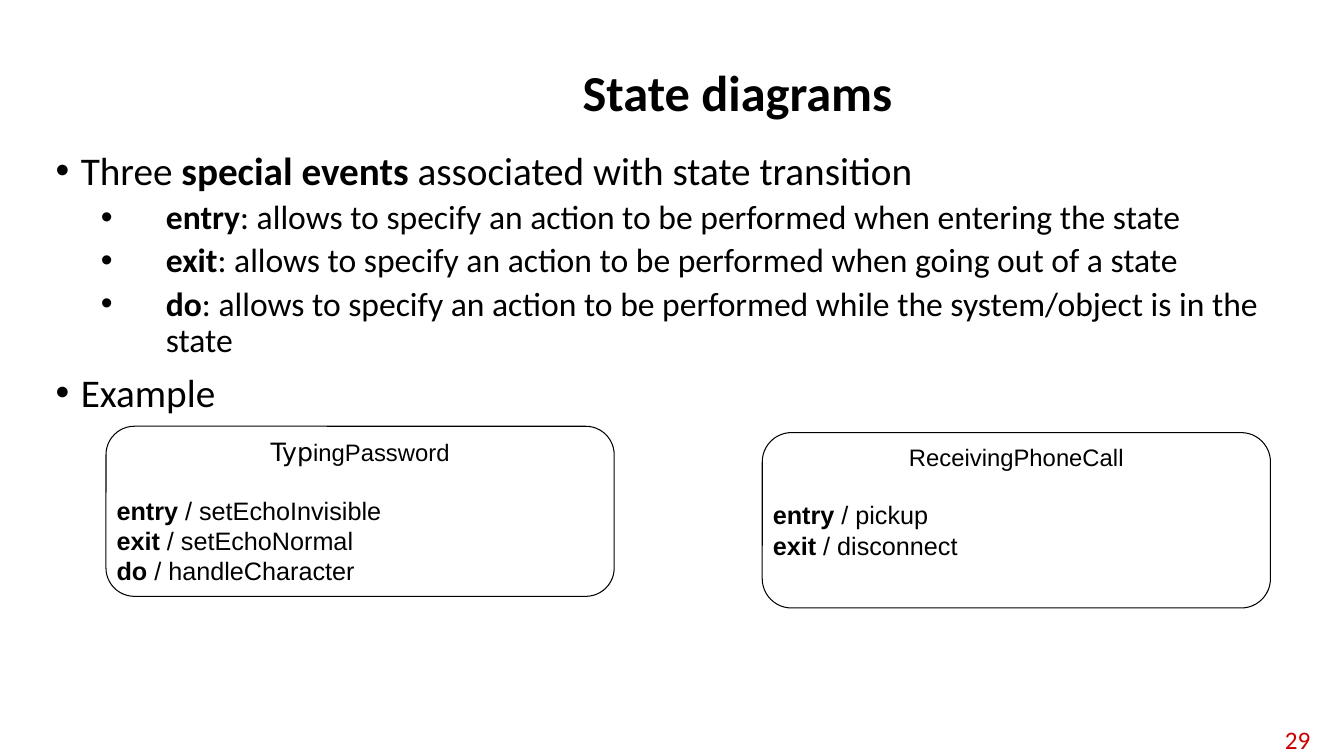
from lxml import etree
from pptx import Presentation
from pptx.dml.color import RGBColor
from pptx.enum.shapes import MSO_SHAPE
from pptx.enum.text import MSO_ANCHOR, PP_ALIGN
from pptx.oxml.ns import qn
from pptx.util import Pt

PX = 9525
TOP, MIDDLE = MSO_ANCHOR.TOP, MSO_ANCHOR.MIDDLE
LEFT, CENTER, RIGHT = PP_ALIGN.LEFT, PP_ALIGN.CENTER, PP_ALIGN.RIGHT
ROUNDED = MSO_SHAPE.ROUNDED_RECTANGLE
COLORS = {"text": "000000", "line": "000000", "number": "CC0000"}

EVENTS = [
    ("entry", ": allows to specify an action to be performed when entering the state"),
    ("exit", ": allows to specify an action to be performed when going out of a state"),
    ("do", ": allows to specify an action to be performed while the system/object is in the state"),
]


def px(*values):
    """Turn pixel lengths into EMU."""
    return [v * PX for v in values]


def add_run(p, text, size, font="Calibri", bold=False, color="text"):
    """Append a formatted run to a paragraph."""
    r = p.add_run()
    r.text = text
    r.font.size = Pt(size)
    r.font.name = font
    r.font.bold = bold
    r.font.color.rgb = RGBColor.from_string(COLORS[color])


def add_box(s, box, anchor=TOP, margins=(10, 5)):
    """Add a wrapping text box and return its text frame."""
    tf = s.shapes.add_textbox(*px(*box)).text_frame
    tf.word_wrap = True
    tf.vertical_anchor = anchor
    tf.margin_left = tf.margin_right = margins[0] * PX
    tf.margin_top = tf.margin_bottom = margins[1] * PX
    return tf


def next_paragraph(tf, align=LEFT, before=0):
    """Return the unused first paragraph, or a new one with space before."""
    p = tf.paragraphs[0]
    if p.runs:
        p = tf.add_paragraph()
        p.space_before = Pt(before)
    p.alignment = align
    return p


def add_label(s, box, text, size, align, **style):
    """Add a one-line text box centred vertically."""
    p = next_paragraph(add_box(s, box, MIDDLE), align)
    add_run(p, text, size, **style)


def add_bullet(tf, level, spans):
    """Add a bulleted paragraph made of (text, bold) spans."""
    indent, hanging, size, before = [(24, 24, 28, 10), (105, 62, 24, 5)][level]
    p = next_paragraph(tf, before=before)
    p.level = level
    pPr = p._p.get_or_add_pPr()
    pPr.set("marL", str(indent * PX))
    pPr.set("indent", str(-hanging * PX))
    etree.SubElement(pPr, qn("a:buFont")).set("typeface", "Arial")
    etree.SubElement(pPr, qn("a:buChar")).set("char", "•")
    p.line_spacing = 0.9
    for text, bold in spans:
        add_run(p, text, size, bold=bold)


def add_state(s, box, name, actions):
    """Add a rounded state box with its name and its event actions."""
    sp = s.shapes.add_shape(ROUNDED, *px(*box))
    sp.adjustments[0] = 0.167
    sp.shadow.inherit = False
    sp.fill.background()
    sp.line.color.rgb = RGBColor.from_string(COLORS["line"])
    sp.line.width = Pt(0.75)
    x, y, w, h = box
    tf = add_box(s, (x + 5, y + 5, w - 10, h - 10), margins=(5, 5))
    p = next_paragraph(tf, CENTER)
    for text, size, font in name:
        add_run(p, text, size, font)
    for i, (event, action) in enumerate(actions):
        p = next_paragraph(tf, before=0 if i else 20)
        add_run(p, event, 18, "Arial", bold=True)
        add_run(p, f" / {action}", 18, "Arial")


def main():
    """Build the state diagrams slide."""
    prs = Presentation()
    prs.slide_width, prs.slide_height = px(1280, 720)
    s = prs.slides.add_slide(prs.slide_layouts[6])

    add_label(s, (1192, 687, 66, 35), "29", 18, RIGHT, color="number")
    add_label(s, (214, 38, 977, 98), "State diagrams", 36, CENTER, bold=True)

    tf = add_box(s, (43, 139, 1204, 545))
    add_bullet(tf, 0, [("Three ", False), ("special events", True),
                       (" associated with state transition", False)])
    for event, meaning in EVENTS:
        add_bullet(tf, 1, [(event, True), (meaning, False)])
    add_bullet(tf, 0, [("Example", False)])

    add_state(s, (101, 406, 484, 162),
              [("Typ", 18, "DejaVu Sans"), ("ingPassword", 17, "Arial")],
              [("entry", "setEchoInvisible"), ("exit", "setEchoNormal"),
               ("do", "handleCharacter")])
    add_state(s, (726, 412, 484, 167),
              [("ReceivingPhoneCall", 17, "Arial")],
              [("entry", "pickup"), ("exit", "disconnect")])
    prs.save("out.pptx")


if __name__ == "__main__":
    main()
